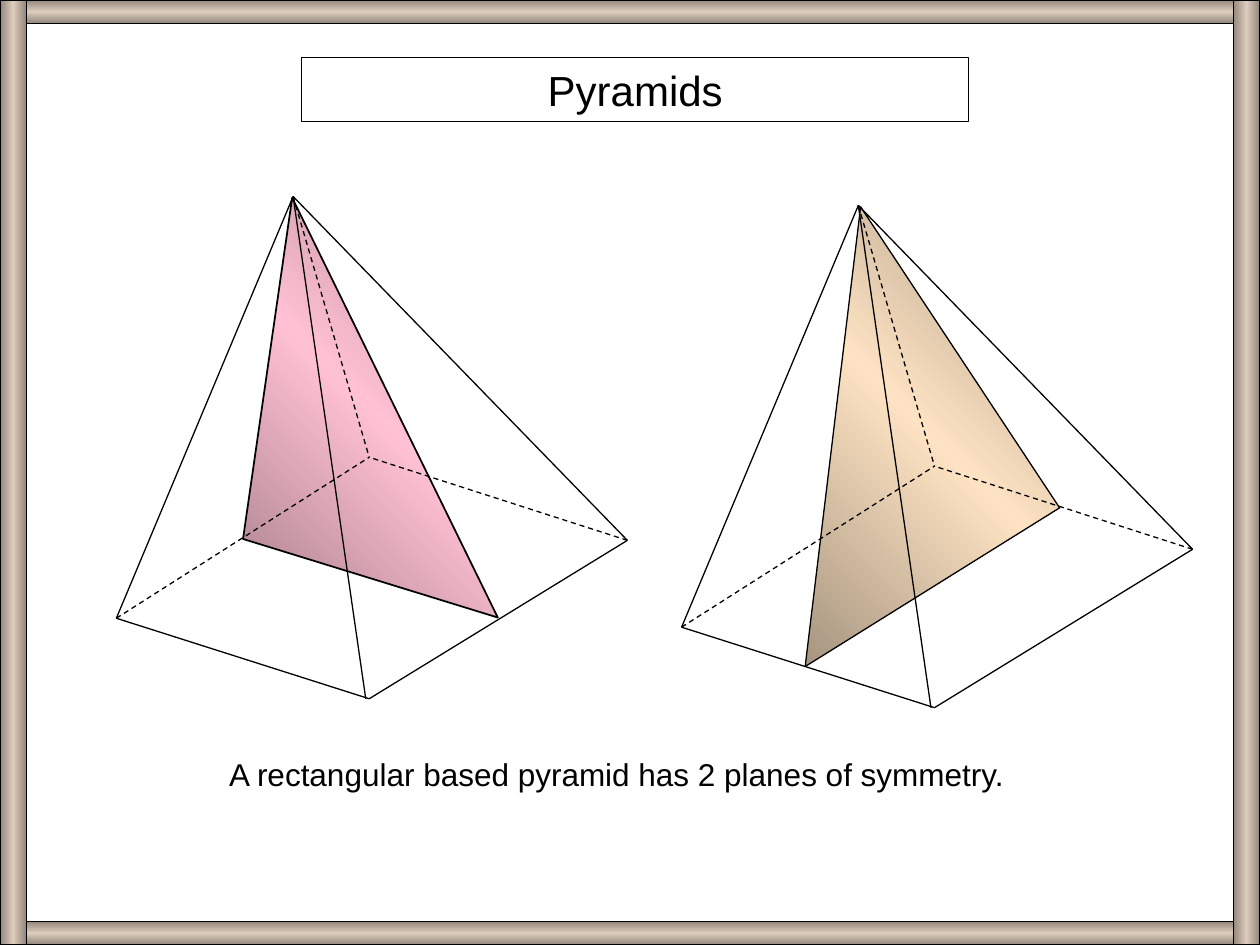
from copy import deepcopy
from typing import NamedTuple

from pptx import Presentation
from pptx.dml.color import RGBColor
from pptx.enum.dml import MSO_LINE
from pptx.enum.shapes import MSO_CONNECTOR, MSO_SHAPE
from pptx.enum.text import MSO_ANCHOR, MSO_AUTO_SIZE, PP_ALIGN
from pptx.oxml.ns import qn
from pptx.oxml.xmlchemy import OxmlElement
from pptx.shapes.autoshape import Shape
from pptx.slide import Slide
from pptx.util import Pt

BLACK = RGBColor(0x00, 0x00, 0x00)
PINK = RGBColor(0xFF, 0xC1, 0xD3)
ROSE = RGBColor(0xA8, 0x7F, 0x8B)
CREAM = RGBColor(0xFD, 0xE3, 0xC3)
TAN = RGBColor(0xA7, 0x95, 0x80)
SAND = RGBColor(0xDE, 0xCC, 0xBC)
UMBER = RGBColor(0x92, 0x86, 0x7C)

WIDE, HIGH = 720, 540
BAR, POST = 13.5, 15.2


class Point(NamedTuple):
    x: float
    y: float


class Plane(NamedTuple):
    """A cut through a pyramid, with corners relative to its apex."""
    points: list[Point]
    light: RGBColor
    dark: RGBColor
    width: float


class Solid(NamedTuple):
    apex: Point
    plane: Plane


class Edge(NamedTuple):
    start: Point
    end: Point
    dashed: bool = False


class Box(NamedTuple):
    x: float
    y: float
    w: float
    h: float
    angle: int


# Corners of the pyramid, relative to the apex
TOP = Point(0, 0)
LEFT = Point(-101, 241)
FRONT = Point(43.5, 287)
FOOT = Point(41.5, 287)
RIGHT = Point(191, 196.5)
BACK = Point(43.5, 149)

EDGES = [
    Edge(TOP, RIGHT),
    Edge(TOP, FOOT),
    Edge(TOP, LEFT),
    Edge(TOP, BACK, True),
    Edge(LEFT, FRONT),
    Edge(FRONT, RIGHT),
    Edge(RIGHT, BACK, True),
    Edge(LEFT, BACK, True),
]

SOLIDS = [
    Solid(Point(167.5, 112.3), Plane(
        [Point(-0.5, 0.7), Point(-28.6, 195.7), Point(117, 240.6)],
        PINK, ROSE, 1)),
    Solid(Point(490.5, 117.4), Plane(
        [Point(1.3, 0.8), Point(-30.4, 263.5), Point(115, 172.8)],
        CREAM, TAN, 0.75)),
]

FRAME = [
    Box(0, 0, WIDE, BAR, 90),
    Box(0, HIGH - BAR, WIDE, BAR, 90),
    Box(0, 0, POST, HIGH, 180),
    Box(WIDE - POST, 0, POST, HIGH, 180),
]


def shift(point: Point, base: Point) -> Point:
    return Point(base.x + point.x, base.y + point.y)


def paint(shape: Shape, light: RGBColor, dark: RGBColor,
          angle: int, width: float) -> None:
    """Fill with a dark-light-dark gradient, its angle clockwise."""
    shape.shadow.inherit = False
    fill = shape.fill
    fill.gradient()
    stops = shape.element.spPr.find(".//" + qn("a:gsLst"))
    stops.insert(1, deepcopy(stops[0]))
    for stop, place, color in zip(fill.gradient_stops, (0, 0.5, 1),
                                  (dark, light, dark)):
        stop.position = place
        stop.color.rgb = color
    fill.gradient_angle = 360 - angle
    shape.line.color.rgb = BLACK
    shape.line.width = Pt(width)


def draw_plane(slide: Slide, solid: Solid) -> None:
    plane = solid.plane
    spots = [shift(point, solid.apex) for point in plane.points]
    pen = slide.shapes.build_freeform(Pt(spots[0].x), Pt(spots[0].y))
    pen.add_line_segments([(Pt(p.x), Pt(p.y)) for p in spots[1:]], close=True)
    paint(pen.convert_to_shape(), plane.light, plane.dark, 135, plane.width)


def draw_edge(slide: Slide, edge: Edge, apex: Point) -> None:
    start, end = shift(edge.start, apex), shift(edge.end, apex)
    line = slide.shapes.add_connector(
        MSO_CONNECTOR.STRAIGHT, Pt(start.x), Pt(start.y), Pt(end.x), Pt(end.y))
    line.line.color.rgb = BLACK
    line.line.width = Pt(0.75)
    if edge.dashed:
        line.line.dash_style = MSO_LINE.DASH
    line.element.spPr.append(OxmlElement("a:effectLst"))


def draw_bar(slide: Slide, box: Box) -> None:
    bar = slide.shapes.add_shape(
        MSO_SHAPE.RECTANGLE, Pt(box.x), Pt(box.y), Pt(box.w), Pt(box.h))
    paint(bar, SAND, UMBER, box.angle, 0.75)


def write(shape: Shape, text: str, size: float, align: PP_ALIGN,
          anchor: MSO_ANCHOR) -> None:
    frame = shape.text_frame
    frame.text = text
    frame.word_wrap = True
    frame.auto_size = MSO_AUTO_SIZE.NONE
    frame.vertical_anchor = anchor
    line = frame.paragraphs[0]
    line.alignment = align
    font = line.runs[0].font
    font.name = "Arial"
    font.size = Pt(size)
    font.color.rgb = BLACK


def main() -> None:
    deck = Presentation()
    deck.slide_width, deck.slide_height = Pt(WIDE), Pt(HIGH)
    slide = deck.slides.add_slide(deck.slide_layouts[5])

    title = slide.shapes.title
    title.left, title.top = Pt(172.5), Pt(33)
    title.width, title.height = Pt(381), Pt(36.3)
    title.line.color.rgb = BLACK
    title.line.width = Pt(0.75)
    write(title, "Pyramids", 24, PP_ALIGN.CENTER, MSO_ANCHOR.MIDDLE)

    for solid in SOLIDS:
        draw_plane(slide, solid)
        for edge in EDGES:
            draw_edge(slide, edge, solid.apex)

    note = slide.shapes.add_textbox(Pt(123.8), Pt(428), Pt(531.4), Pt(29))
    write(note, "A rectangular based pyramid has 2 planes of symmetry.", 18,
          PP_ALIGN.LEFT, MSO_ANCHOR.TOP)

    for box in FRAME:
        draw_bar(slide, box)

    deck.save("out.pptx")


if __name__ == "__main__":
    main()
